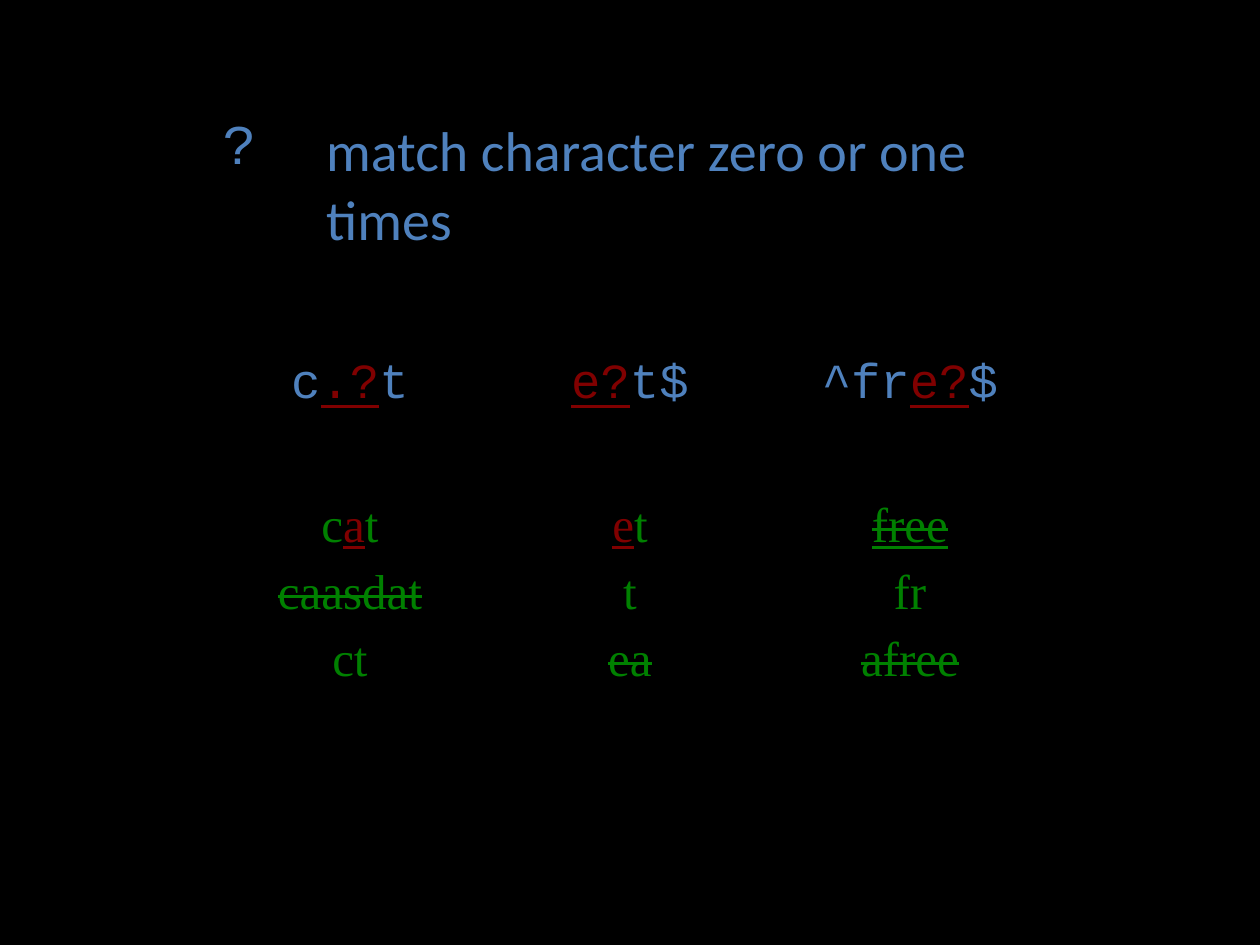
from pptx import Presentation
from pptx.dml.color import RGBColor
from pptx.enum.text import PP_ALIGN
from pptx.util import Pt

CENTER = PP_ALIGN.CENTER
LEFT = PP_ALIGN.LEFT
NO_STYLE_NO_GRID = "{2D5ABB26-0587-4C30-8999-92F81FD0307C}"
COLORS = {"background": "000000", "pattern": "4F81BD", "optional": "800000", "word": "008000"}
TABLE_LEFT, TABLE_WIDTH = Pt(120), Pt(480)


def add_plain_table(slide, top, height, column_widths, row_heights):
    frame = slide.shapes.add_table(
        len(row_heights), len(column_widths), TABLE_LEFT, top, TABLE_WIDTH, height)
    table = frame.table
    table.first_row = False
    table.horz_banding = False
    table._tbl.tblPr[0].text = NO_STYLE_NO_GRID
    for column, width in zip(table.columns, column_widths):
        column.width = Pt(width)
    for row, row_height in zip(table.rows, row_heights):
        row.height = Pt(row_height)
    frame.height = height
    for cell in table.iter_cells():
        cell.fill.background()
    return table


def write_cell(cell, pieces, font_name, size, alignment):
    paragraph = cell.text_frame.paragraphs[0]
    paragraph.alignment = alignment
    for text, color, *marks in pieces:
        run = paragraph.add_run()
        run.text = text
        run.font.name = font_name
        run.font.size = Pt(size)
        run.font.color.rgb = RGBColor.from_string(COLORS[color])
        run.font.underline = color == "optional" or "underline" in marks
        if "strike" in marks:
            run._r.get_or_add_rPr().set("strike", "sngStrike")


prs = Presentation()
prs.slide_width, prs.slide_height = Pt(720), Pt(540)
slide = prs.slides.add_slide(prs.slide_layouts[6])
slide.background.fill.solid()
slide.background.fill.fore_color.rgb = RGBColor.from_string(COLORS["background"])

rule = add_plain_table(slide, Pt(64), Pt(84.24), [59.2, 420.8], [29.6])
write_cell(rule.cell(0, 0), [("?", "pattern")], "Courier New", 32, LEFT)
write_cell(rule.cell(0, 1), [("match character zero or one times", "pattern")],
           "Calibri", 32, LEFT)

patterns = [
    [("c", "pattern"), (".?", "optional"), ("t", "pattern")],
    [("e?", "optional"), ("t$", "pattern")],
    [("^fr", "pattern"), ("e?", "optional"), ("$", "pattern")],
]
candidates = [
    [
        [("c", "word"), ("a", "optional"), ("t", "word")],
        [("e", "optional"), ("t", "word")],
        [("free", "word", "underline", "strike")],
    ],
    [[("caasdat", "word", "strike")], [("t", "word")], [("fr", "word")]],
    [[("ct", "word")], [("ea", "word", "strike")], [("afree", "word", "strike")]],
]

examples = add_plain_table(slide, Pt(201), Pt(203.76), [160] * 3, [29.6, 41.4] + [29.6] * 3)
for column, pattern in enumerate(patterns):
    write_cell(examples.cell(0, column), pattern, "Courier New", 28, CENTER)
for row, words in enumerate(candidates, start=2):
    for column, word in enumerate(words):
        write_cell(examples.cell(row, column), word, "Times New Roman", 28, CENTER)

prs.save("out.pptx")
